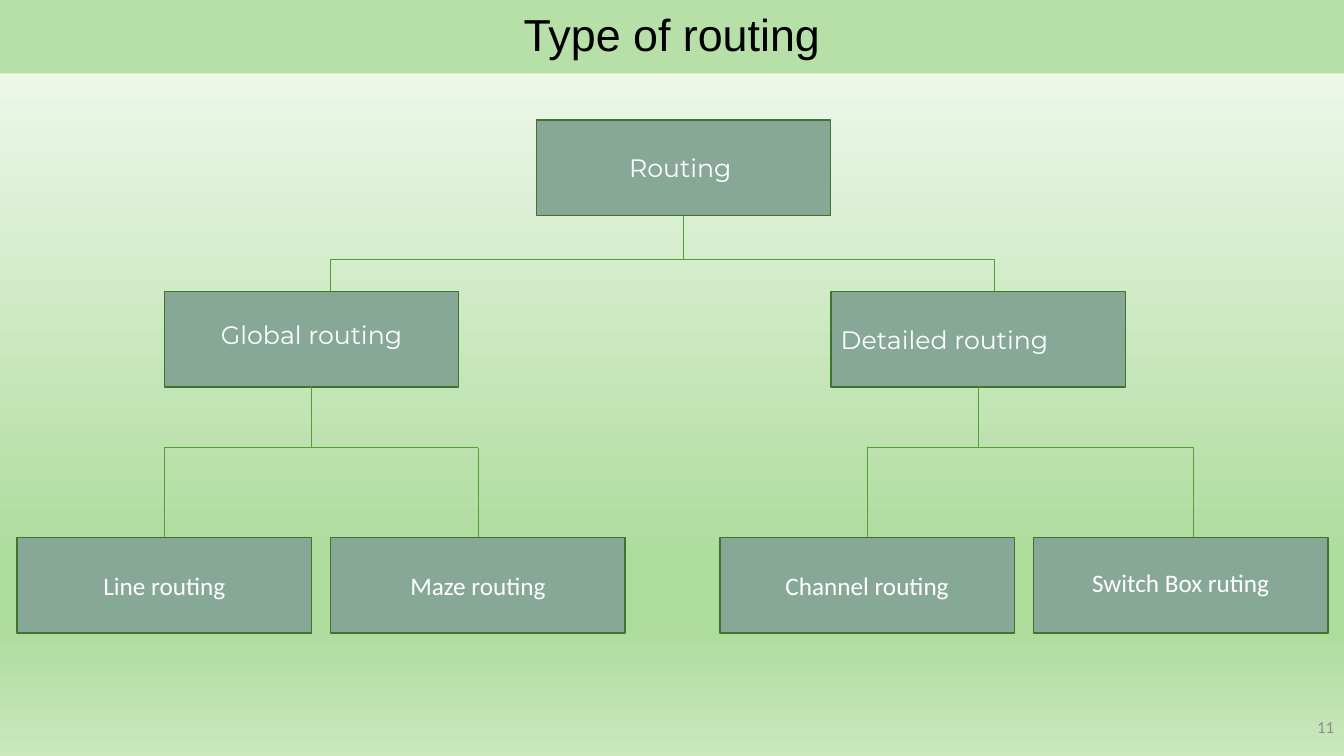
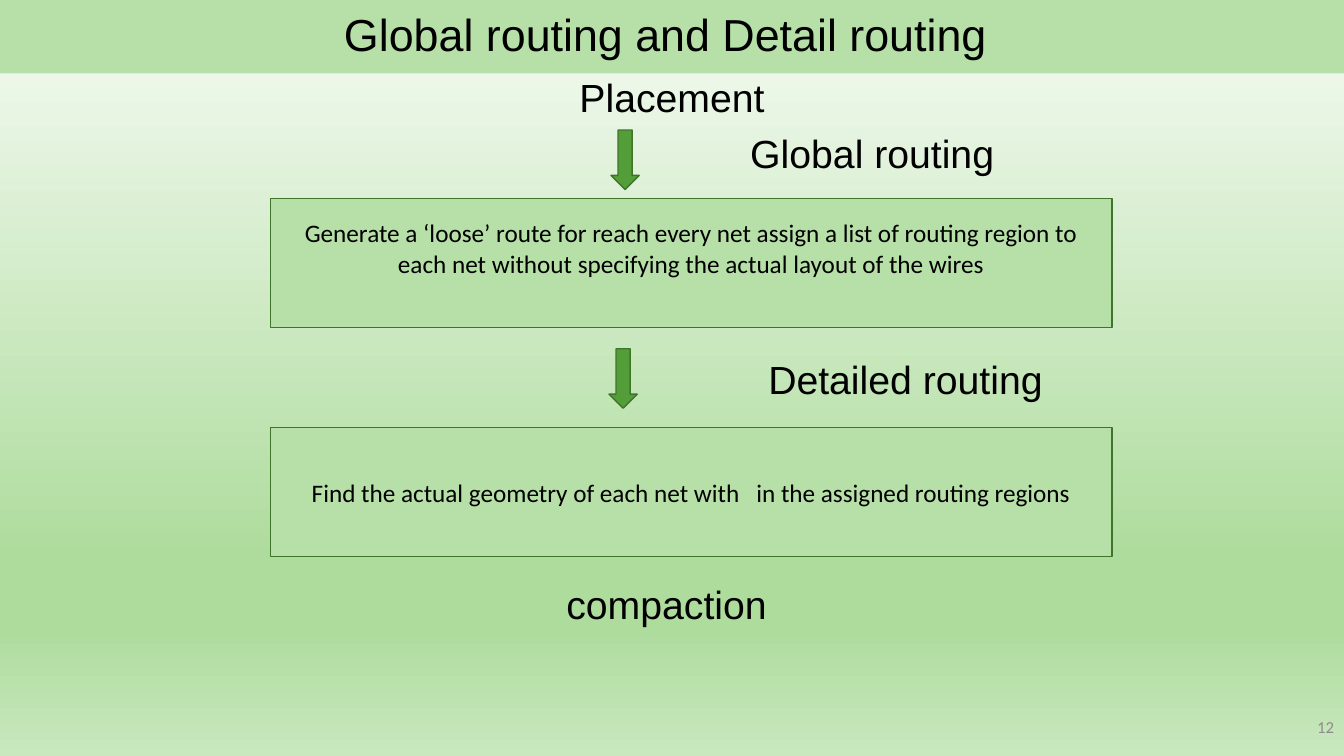
import lxml.etree
import pptx
import pptx.dml.color
import pptx.enum.shapes
import pptx.enum.text
import pptx.oxml.ns
import pptx.util

CELL = 0.1
COLS, ROWS = 133.3, 75
NODE_W, NODE_H = 29.2, 9.5
BAND, SAGE, GREEN, EDGE = "B7E0A8", "87A896", "549E39", "3E752A"
BLACK, WHITE, GRAY = "000000", "FFFFFF", "8C8C8C"
STOPS = [(0, "F6FBF4"), (74, "AEDC9D"), (83, "AEDC9D"), (100, "C9E8BE")]
SHAPE = pptx.enum.shapes.MSO_SHAPE
ALIGN = pptx.enum.text.PP_ALIGN
QN = pptx.oxml.ns.qn


def color(code):
    """Turn a hex string into a colour."""
    return pptx.dml.color.RGBColor.from_string(code)


def cells(*counts):
    """Turn grid cells into lengths."""
    return [pptx.util.Inches(n * CELL) for n in counts]


def paint(master):
    """Give the master its vertical gradient."""
    fill = master.background.fill
    fill.gradient()
    fill.gradient_angle = 270
    stops = master.element.find(".//" + QN("a:gsLst"))
    for stop in list(stops):
        stops.remove(stop)
    for share, code in STOPS:
        stop = lxml.etree.SubElement(stops, QN("a:gs"), pos=str(share * 1000))
        lxml.etree.SubElement(stop, QN("a:srgbClr"), val=code)


def write(shape, text, face, size, ink, align=ALIGN.CENTER, lift=0, lead=None):
    """Write one middle-anchored paragraph, raised by some cells."""
    frame = shape.text_frame
    frame.word_wrap = True
    frame.vertical_anchor = pptx.enum.text.MSO_ANCHOR.MIDDLE
    frame.margin_bottom = pptx.util.Inches(0.05 + 2 * lift * CELL)
    line = frame.paragraphs[0]
    line.text = text
    line.alignment = align
    line.line_spacing = lead
    line.font.name = face
    line.font.size = pptx.util.Pt(size)
    line.font.color.rgb = color(ink)


def block(slide, box, fill, edge=EDGE, kind=SHAPE.RECTANGLE):
    """Draw a filled shape with an optional outline."""
    shape = slide.shapes.add_shape(kind, *cells(*box))
    shape.shadow.inherit = False
    shape.fill.solid()
    shape.fill.fore_color.rgb = color(fill)
    if edge:
        shape.line.color.rgb = color(edge)
        shape.line.width = pptx.util.Pt(1)
    else:
        shape.line.fill.background()
    return shape


def label(slide, box, text, *style, **more):
    """Place text without a frame."""
    write(slide.shapes.add_textbox(*cells(*box)), text, *style, **more)


def base(deck, title, page):
    """Add a slide with its title band and page number."""
    slide = deck.slides.add_slide(deck.slide_layouts[6])
    band = block(slide, (0, 0, COLS, 7.3), BAND, None)
    write(band, title, "Arial", 32, BLACK, lead=0.9)
    label(slide, (COLS - 25.6, 69.5, 25.6, 5.3), str(page),
          "Calibri", 12, GRAY, ALIGN.RIGHT)
    return slide


def node(slide, left, top, text, face="Montserrat", **more):
    """Draw one box of the tree."""
    shape = block(slide, (left, top, NODE_W, NODE_H), SAGE)
    write(shape, text, face, 18, WHITE, **more)
    return shape


def wire(slide, start, end):
    """Draw a thin straight line between two points."""
    kind = pptx.enum.shapes.MSO_CONNECTOR.STRAIGHT
    line = slide.shapes.add_connector(kind, *start, *end)
    line.line.color.rgb = color(GREEN)
    line.line.width = pptx.util.Pt(0.5)
    props = line.element.find(QN("p:spPr"))
    lxml.etree.SubElement(props, QN("a:effectLst"))
    return line


def fork(slide, top, kids, row):
    """Link a box to pairs of child box and tap column through a bus."""
    bus, = cells(row)
    mid = top.left + top.width // 2
    wire(slide, (mid, bus), (mid, bus)).begin_connect(top, 2)
    taps = []
    for kid, col in kids:
        tap = cells(col)[0] if col else kid.left + kid.width // 2
        drop = wire(slide, (tap, bus), (tap, kid.top))
        if not col:
            drop.end_connect(kid, 0)
        taps.append(tap)
    wire(slide, (taps[0], bus), (taps[-1], bus))


def branch(slide, box, shift, head, leaves, tap=None, **more):
    """Draw a head box over two leaves at the ends of the given box."""
    left, top, width, height = box
    crown = node(slide, left + shift, top, head, **more)
    low = top + height - NODE_H
    kids = [node(slide, left + n * (width - NODE_W), low, text, "Calibri", lift=lift)
            for n, (text, lift) in enumerate(leaves)]
    fork(slide, crown, zip(kids, (None, tap)), top + 15.5)
    return crown


def tree(slide, box):
    """Draw the routing tree in the given box."""
    left, top, width, height = box
    half, low, tall = 60.3, top + 17, height - 17
    root = node(slide, left + 51.5, top, "Routing ")
    wide = branch(slide, (left, low, half, tall), NODE_W / 2, "Global routing",
                  [("Line routing", 0), ("Maze routing", 0)], lift=0.5)
    fine = branch(slide, (left + width - half, low, half, tall), 11, "Detailed routing",
                  [("Channel routing", 0), ("Switch Box ruting", 0.3)],
                  left + 116.7, align=ALIGN.LEFT)
    fork(slide, root, [(wide, left + 31.1), (fine, left + 96.9)], top + 13.8)


def step(slide, box, text, name, spot, col, lift=0):
    """Draw an arrow, its name and the framed step below it."""
    left, top, width, height = box
    block(slide, (left + col, top, 2.8, 5.9), GREEN, kind=SHAPE.DOWN_ARROW)
    mid, row = spot
    label(slide, (left + mid - 20, top + row - 2.5, 40, 5), name,
          "Arial", 28, BLACK, lead=0.9)
    frame = block(slide, (left, top + height - 12.8, width, 12.8), BAND)
    write(frame, text, "Calibri", 18, BLACK, lift=lift)


def flow(slide, box):
    """Draw the steps from placement to compaction in the given box."""
    left, top, width, height = box
    for text, row in (("Placement", 0), ("compaction ", height - 5)):
        label(slide, (0, top + row, COLS, 5), text, "Arial", 28, BLACK, lead=0.9)
    step(slide, (left, top + 5.5, width, 19.6),
         "Generate a ‘loose’ route for reach every net assign a list of routing region to "
         "each net without specifying the actual layout of the wires",
         "Global routing", (59.7, 2.6), 33.8, 1.5)
    step(slide, (left, top + 27.2, width, 20.6),
         "Find the actual geometry of each net with   in the assigned routing regions",
         "Detailed routing", (63, 3.3), 33.6)


def main():
    """Build and save the deck."""
    deck = pptx.Presentation()
    deck.slide_width, deck.slide_height = cells(COLS, ROWS)
    paint(deck.slide_master)
    tree(base(deck, "Type of routing", 11), (1.7, 11.9, 130, 50.9))
    flow(base(deck, "Global routing and Detail routing ", 12), (26.8, 7.4, 83.5, 55.3))
    deck.save("out.pptx")


if __name__ == "__main__":
    main()
